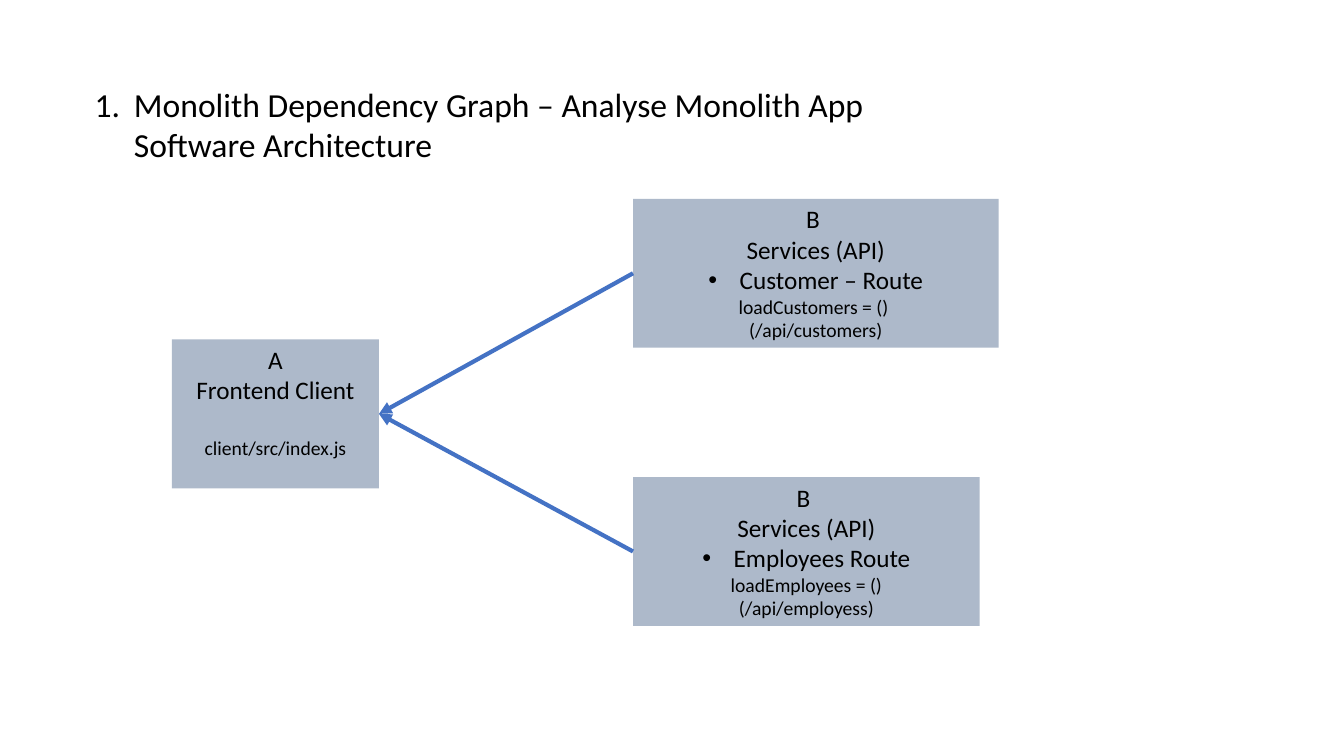
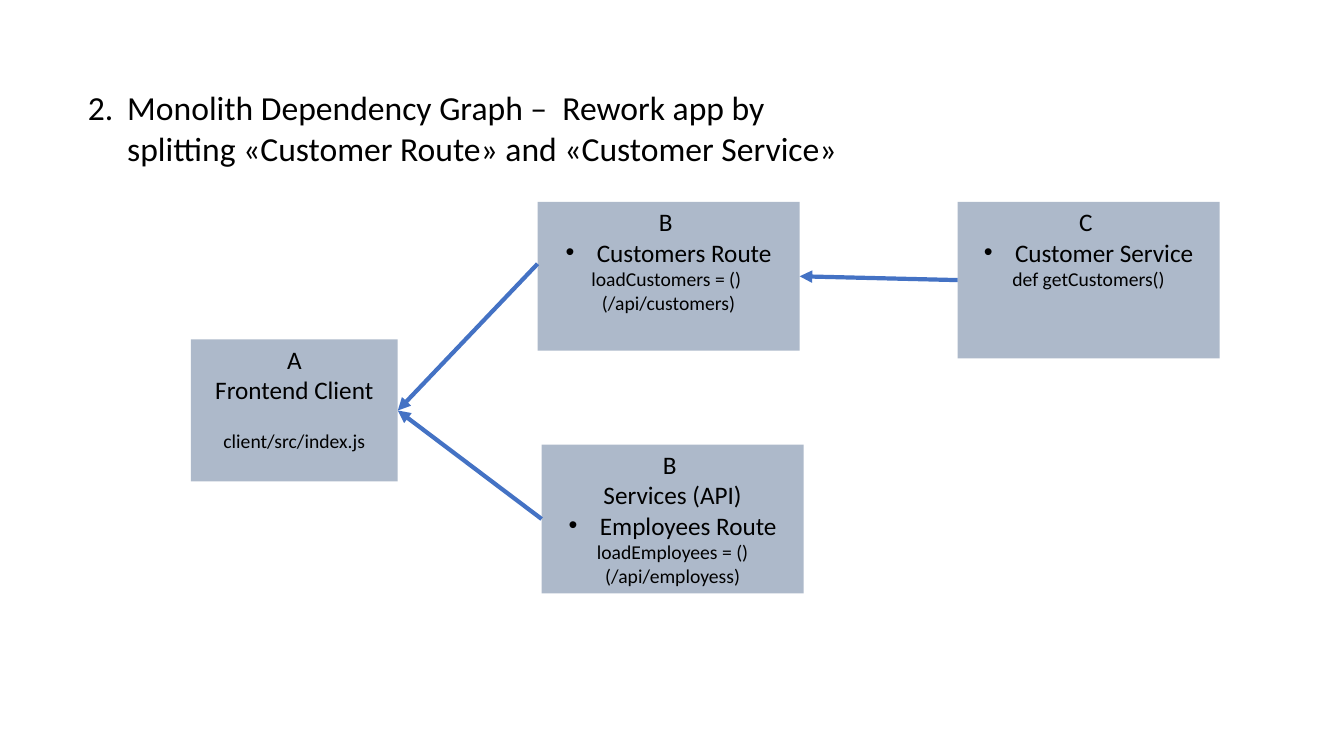
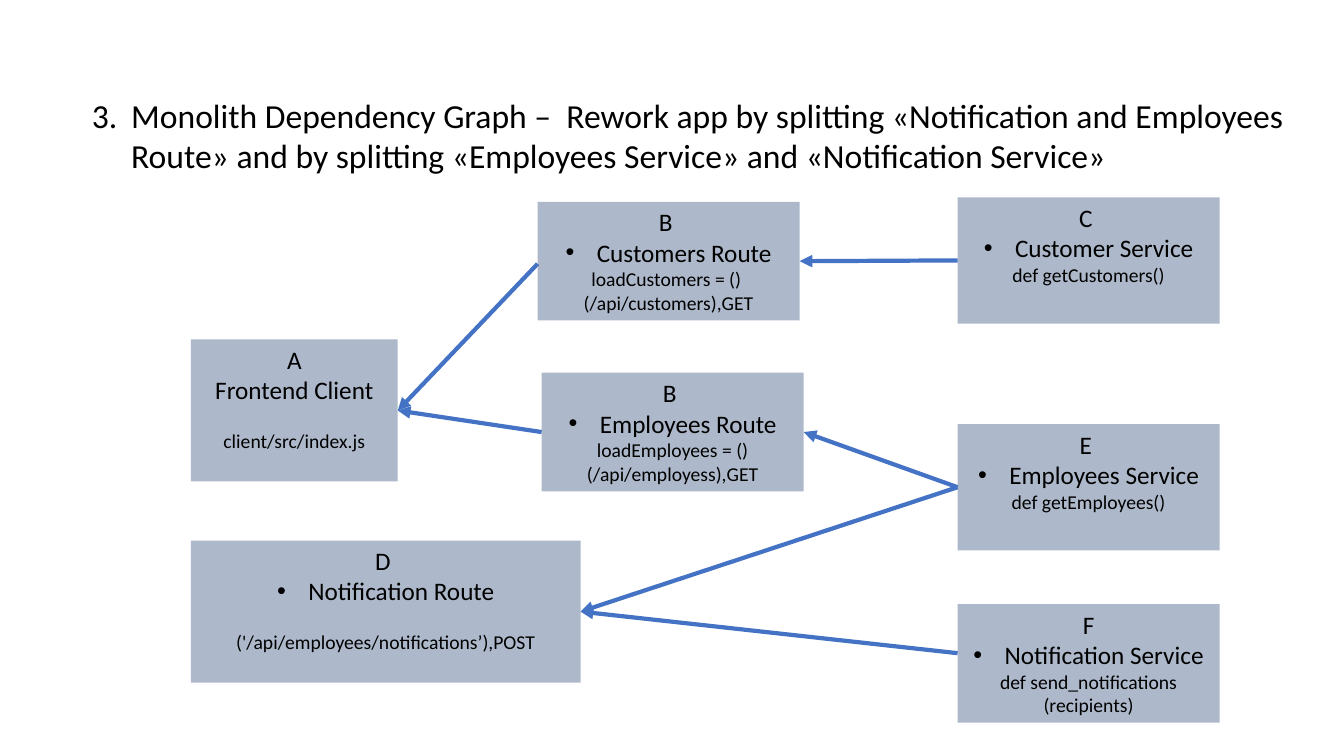
from dataclasses import dataclass

from lxml import etree
from pptx import Presentation
from pptx.dml.color import RGBColor
from pptx.enum.shapes import MSO_CONNECTOR, MSO_SHAPE
from pptx.enum.text import MSO_ANCHOR, PP_ALIGN
from pptx.oxml.ns import qn
from pptx.util import Emu, Inches, Pt

RECTANGLE, STRAIGHT = MSO_SHAPE.RECTANGLE, MSO_CONNECTOR.STRAIGHT
TOP, LEFT, CENTER = MSO_ANCHOR.TOP, PP_ALIGN.LEFT, PP_ALIGN.CENTER

# Shared style; places and sizes are percentages of the slide
BOX_FILL = RGBColor(0xAD, 0xB9, 0xCA)
ARROW_BLUE = RGBColor(0x44, 0x72, 0xC4)
BLACK = RGBColor(0, 0, 0)
FONT = "Calibri"
TITLE_PT, LABEL_PT, CODE_PT = 24, 18, 14
TITLE_INDENT, BULLET_INDENT = 0.39, 0.31
SLIDE_W, SLIDE_H = Inches(13.33), Inches(7.5)
LEFT_SIDE, RIGHT_SIDE = 1, 3

# Columns and common box sizes
CLIENT_X, CLIENT_W = 14.2, 15.4
CUSTOMERS_X, EMPLOYEES_X, SERVICE_X = 40, 40.3, 71.25
BOX_W = 19.5
CLIENT_Y, ROUTE_Y = 44.9, 26.7
TALL, MEDIUM, SERVICE_H, SHORT = 19.7, 18.8, 16.7, 15.7
CUSTOMERS_EXIT_Y = 34.9


@dataclass(frozen=True)
class Line:
    text: str
    size: int = LABEL_PT
    bullet: bool = False
    gap: int = 0


@dataclass(frozen=True)
class Box:
    key: str
    left: float
    top: float
    width: float
    height: float
    lines: tuple[Line, ...]


@dataclass(frozen=True)
class Arrow:
    source: str
    target: str
    exit_y: float | None = None


@dataclass(frozen=True)
class Title:
    text: str
    left: float
    top: float
    width: float


@dataclass(frozen=True)
class Graph:
    title: Title
    boxes: tuple[Box, ...]
    arrows: tuple[Arrow, ...]


def x(share: float) -> Emu:
    return Emu(round(SLIDE_W * share / 100))


def y(share: float) -> Emu:
    return Emu(round(SLIDE_H * share / 100))


def component(letter: str, name: str, *code: str, heading: str = "",
              gap: int = 0) -> tuple[Line, ...]:
    """Letter, optional heading, bulleted name and code lines of a box."""
    lines = [Line(letter)]
    if heading:
        lines.append(Line(heading))
    lines.append(Line(name, bullet=True))
    lines += [Line(text, CODE_PT, gap=0 if i else gap) for i, text in enumerate(code)]
    return tuple(lines)


def client(left: float, height: float, gap: int) -> Box:
    return Box("client", left, CLIENT_Y, CLIENT_W, height, (
        Line("A"), Line("Frontend Client"),
        Line("client/src/index.js", CODE_PT, gap=gap)))


def hang(paragraph, indent: float, tag: str, **attributes: str) -> None:
    """Give a paragraph a hanging bullet or number."""
    properties = paragraph._p.get_or_add_pPr()
    properties.set("marL", str(Inches(indent)))
    properties.set("indent", str(-Inches(indent)))
    if tag == "a:buChar":
        etree.SubElement(properties, qn("a:buFont"), typeface="Arial")
    etree.SubElement(properties, qn(tag), **attributes)


def add_run(paragraph, text: str, size: int) -> None:
    run = paragraph.add_run()
    run.text = text
    run.font.name = FONT
    run.font.size = Pt(size)
    run.font.color.rgb = BLACK


def draw_title(slide, title: Title, number: int) -> None:
    frame = slide.shapes.add_textbox(
        x(title.left), y(title.top), x(title.width), y(12.1)).text_frame
    frame.word_wrap = True
    paragraph = frame.paragraphs[0]
    paragraph.alignment = LEFT
    hang(paragraph, TITLE_INDENT, "a:buAutoNum", type="arabicPeriod", startAt=str(number))
    add_run(paragraph, title.text, TITLE_PT)


def draw_box(slide, box: Box):
    shape = slide.shapes.add_shape(
        RECTANGLE, x(box.left), y(box.top), x(box.width), y(box.height))
    shape.shadow.inherit = False
    shape.fill.solid()
    shape.fill.fore_color.rgb = BOX_FILL
    shape.line.fill.background()
    frame = shape.text_frame
    frame.word_wrap = True
    frame.vertical_anchor = TOP
    for i, line in enumerate(box.lines):
        paragraph = frame.add_paragraph() if i else frame.paragraphs[0]
        paragraph.alignment = CENTER
        if line.gap:
            paragraph.space_before = Pt(line.gap)
        if line.bullet:
            hang(paragraph, BULLET_INDENT, "a:buChar", char="•")
        add_run(paragraph, line.text, line.size)
    return shape


def draw_arrow(slide, source, target, exit_y: float | None) -> None:
    start_y = source.top + source.height // 2 if exit_y is None else y(exit_y)
    arrow = slide.shapes.add_connector(
        STRAIGHT, source.left, start_y,
        target.left + target.width, target.top + target.height // 2)
    if exit_y is None:
        arrow.begin_connect(source, LEFT_SIDE)
    arrow.end_connect(target, RIGHT_SIDE)
    arrow.line.color.rgb = ARROW_BLUE
    arrow.line.width = Pt(3)
    etree.SubElement(arrow.line._get_or_add_ln(), qn("a:tailEnd"), type="triangle")
    etree.SubElement(arrow._element.spPr, qn("a:effectLst"))


LOAD_CUSTOMERS, LOAD_EMPLOYEES = "loadCustomers = () ", "loadEmployees = ()"
API = "Services (API)"
EMPLOYEES_API = component("B ", "Employees Route", LOAD_EMPLOYEES,
                          "(/api/employess)", heading=API)
CUSTOMER_SERVICE = component("C ", "Customer Service", "def getCustomers()")

GRAPHS = (
    # Current architecture
    Graph(
        Title("Monolith Dependency Graph – Analyse Monolith App Software Architecture",
              6.3, 10.4, 60),
        (client(12.8, TALL, 22),
         Box("customers", 47.1, 26.3, 27.2, TALL, component(
             "B ", "Customer – Route", LOAD_CUSTOMERS, "(/api/customers)", heading=API)),
         Box("employees", 47.1, 63.1, 25.8, TALL, EMPLOYEES_API)),
        (Arrow("customers", "client"), Arrow("employees", "client"))),
    # Customer service split off
    Graph(
        Title("Monolith Dependency Graph –  Rework app by splitting "
              "«Customer Route» and «Customer Service»", 5.8, 10.9, 58.3),
        (client(CLIENT_X, MEDIUM, 17),
         Box("customers", CUSTOMERS_X, ROUTE_Y, BOX_W, TALL, component(
             "B ", "Customers Route", LOAD_CUSTOMERS, "(/api/customers)")),
         Box("employees", EMPLOYEES_X, 58.8, BOX_W, TALL, EMPLOYEES_API),
         Box("customer service", SERVICE_X, ROUTE_Y, BOX_W, 20.7, CUSTOMER_SERVICE)),
        (Arrow("customers", "client", CUSTOMERS_EXIT_Y), Arrow("employees", "client"),
         Arrow("customer service", "customers"))),
    # Employees and notifications split off
    Graph(
        Title("Monolith Dependency Graph –  Rework app by splitting "
              "«Notification and Employees Route» and by splitting "
              "«Employees Service» and «Notification Service»", 6.1, 11.9, 91.4),
        (client(CLIENT_X, MEDIUM, 17),
         Box("customers", CUSTOMERS_X, ROUTE_Y, BOX_W, SHORT, component(
             "B ", "Customers Route", LOAD_CUSTOMERS, "(/api/customers),GET")),
         Box("employees", EMPLOYEES_X, 49.3, BOX_W, SHORT, component(
             "B ", "Employees Route", LOAD_EMPLOYEES, "(/api/employess),GET")),
         Box("notifications", CLIENT_X, 71.5, 29, MEDIUM, component(
             "D ", "Notification Route", "('/api/employees/notifications’),POST", gap=17)),
         Box("customer service", SERVICE_X, 26.1, BOX_W, SERVICE_H, CUSTOMER_SERVICE),
         Box("employees service", SERVICE_X, 56.1, BOX_W, SERVICE_H, component(
             "E ", "Employees Service", "def getEmployees()")),
         Box("notification service", SERVICE_X, 79.9, BOX_W, SHORT, component(
             "F", "Notification Service", "def send_notifications", "(recipients)"))),
        (Arrow("customers", "client", CUSTOMERS_EXIT_Y), Arrow("employees", "client"),
         Arrow("customer service", "customers"),
         Arrow("employees service", "employees"),
         Arrow("notification service", "notifications", 86.4),
         Arrow("employees service", "notifications"))),
)


def main() -> None:
    deck = Presentation()
    deck.slide_width, deck.slide_height = SLIDE_W, SLIDE_H
    blank = deck.slide_layouts[6]
    for number, graph in enumerate(GRAPHS, start=1):
        slide = deck.slides.add_slide(blank)
        draw_title(slide, graph.title, number)
        shapes = {box.key: draw_box(slide, box) for box in graph.boxes}
        for arrow in graph.arrows:
            draw_arrow(slide, shapes[arrow.source], shapes[arrow.target], arrow.exit_y)
    deck.save("out.pptx")


if __name__ == "__main__":
    main()
